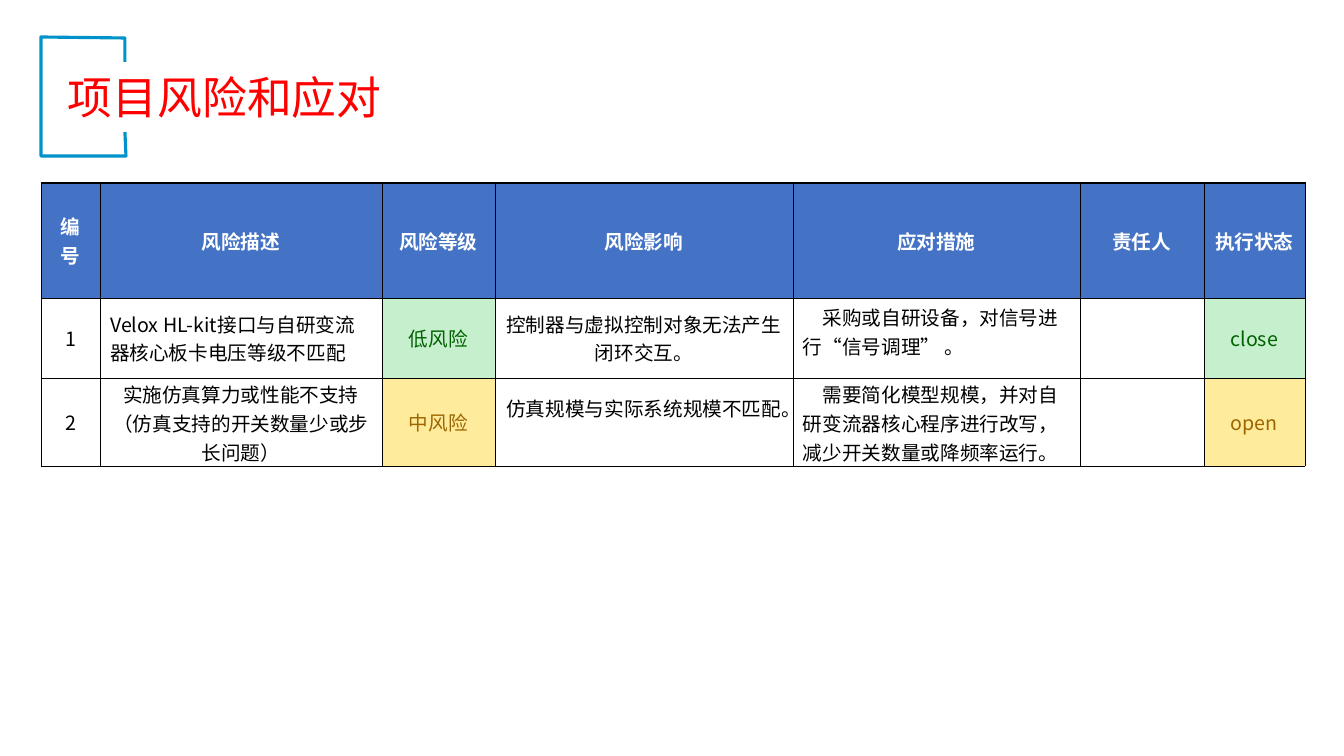
from lxml import etree
from pptx import Presentation
from pptx import util as u
from pptx.dml.color import RGBColor
from pptx.enum import text
from pptx.oxml import ns

SCALE = 914400 / 100.8
FONT = "Noto Sans CJK SC"
HEX = {"title": "FF0000", "frame": "0093CA", "head": "4472C4",
       "white": "FFFFFF", "black": "000000"}
# Cell fill and text colour of each rating
RATES = {"低风险": ("C6EFCE", "006100"), "close": ("C6EFCE", "006100"),
         "中风险": ("FFEB9C", "9C6500"), "open": ("FFEB9C", "9C6500")}

COLS = [59, 282, 113, 298, 287, 124, 101]
ROWS = [115, 80, 88]
RISKS = [
    ["编号", "风险描述", "风险等级", "风险影响", "应对措施", "责任人", "执行状态"],
    ["1", "Velox HL-kit接口与自研变流器核心板卡电压等级不匹配", "低风险",
     "控制器与虚拟控制对象无法产生闭环交互。",
     "采购或自研设备，对信号进行“信号调理” 。", "", "close"],
    ["2", "实施仿真算力或性能不支持（仿真支持的开关数量少或步长问题）", "中风险",
     "仿真规模与实际系统规模不匹配。\u3000".replace("\u3000", "　"),
     "需要简化模型规模，并对自研变流器核心程序进行改写，减少开关数量或降频率运行。",
     "", "open"],
]
RISKS[2][3] = "仿真规模与实际系统规模不匹配。　"
ACTION = 4
LEFT = {(1, 1), (1, ACTION), (2, ACTION)}
# Top and bottom margins of the cells that differ from the default
PADS = {(1, ACTION): (5, 19), (2, 1): (2, 0), (2, ACTION): (2, 0)}


def px(n):
    return u.Emu(round(n * SCALE))


def rgb(code):
    return RGBColor.from_string(code)


def style(para, size, color, bold=False):
    for run in para.runs:
        font = run.font
        font.size, font.bold = u.Pt(size), bold
        font.color.rgb = rgb(color)
        font.name = FONT
        east = etree.SubElement(run._r.get_or_add_rPr(), ns.qn("a:ea"))
        east.set("typeface", FONT)


def edge(cell, top):
    """Draw the four borders, the top one with its own width in points."""
    props = cell._tc.get_or_add_tcPr()
    for i, side in enumerate("LRTB"):
        line = etree.Element(ns.qn("a:ln" + side))
        line.set("w", str(u.Pt(top if side == "T" else 0.5)))
        fill = etree.SubElement(line, ns.qn("a:solidFill"))
        etree.SubElement(fill, ns.qn("a:srgbClr")).set("val", HEX["black"])
        props.insert(i, line)


def title(slide, x, y, w, h):
    """Place the open frame and the heading that runs through its gap."""
    right = x + 84
    pen = slide.shapes.build_freeform(right, y + 95, SCALE)
    pen.add_line_segments([(right + 1, y + 119), (x, y + 119), (x, y),
                           (right, y + 1), (right, y + 25)], close=False)
    frame = pen.convert_to_shape()
    frame.shadow.inherit = False
    frame.fill.background()
    frame.line.color.rgb = rgb(HEX["frame"])
    frame.line.width = u.Pt(2.25)

    box = slide.shapes.add_textbox(px(x + 17), px(y + 28), px(w), px(h))
    box.text_frame.word_wrap = True
    box.text_frame.text = "项目风险和应对"
    style(box.text_frame.paragraphs[0], 32, HEX["title"])


def fill_cell(cell, r, c):
    label = RISKS[r][c]
    head = r == 0
    cell.text = label
    cell.vertical_anchor = text.MSO_ANCHOR.MIDDLE
    edge(cell, 1 if head else 0.5)
    back, ink = RATES.get(label, (None, HEX["black"]))
    if head:
        back, ink = HEX["head"], HEX["white"]
    if back:
        cell.fill.solid()
        cell.fill.fore_color.rgb = rgb(back)
    else:
        cell.fill.background()
    if (r, c) in PADS:
        cell.margin_top, cell.margin_bottom = map(px, PADS[r, c])

    para = cell.text_frame.paragraphs[0]
    align = text.PP_ALIGN
    para.alignment = align.LEFT if (r, c) in LEFT else align.CENTER
    if c == ACTION and not head:
        para._p.get_or_add_pPr().set("indent", str(u.Pt(14)))
    style(para, 14, ink, head)


def risks(slide, x, y):
    shape = slide.shapes.add_table(len(ROWS), len(COLS), px(x), px(y),
                                   px(sum(COLS)), px(sum(ROWS)))
    table = shape.table
    table.horz_banding = False
    for col, w in zip(table.columns, COLS):
        col.width = px(w)
    for r, h in enumerate(ROWS):
        table.rows[r].height = px(h)
        for c in range(len(COLS)):
            fill_cell(table.cell(r, c), r, c)


def main():
    deck = Presentation()
    deck.slide_width, deck.slide_height = px(1344), px(756)
    slide = deck.slides.add_slide(deck.slide_layouts[6])
    title(slide, 41, 37, 928, 64)
    risks(slide, 41, 183)
    deck.save("out.pptx")


if __name__ == "__main__":
    main()
